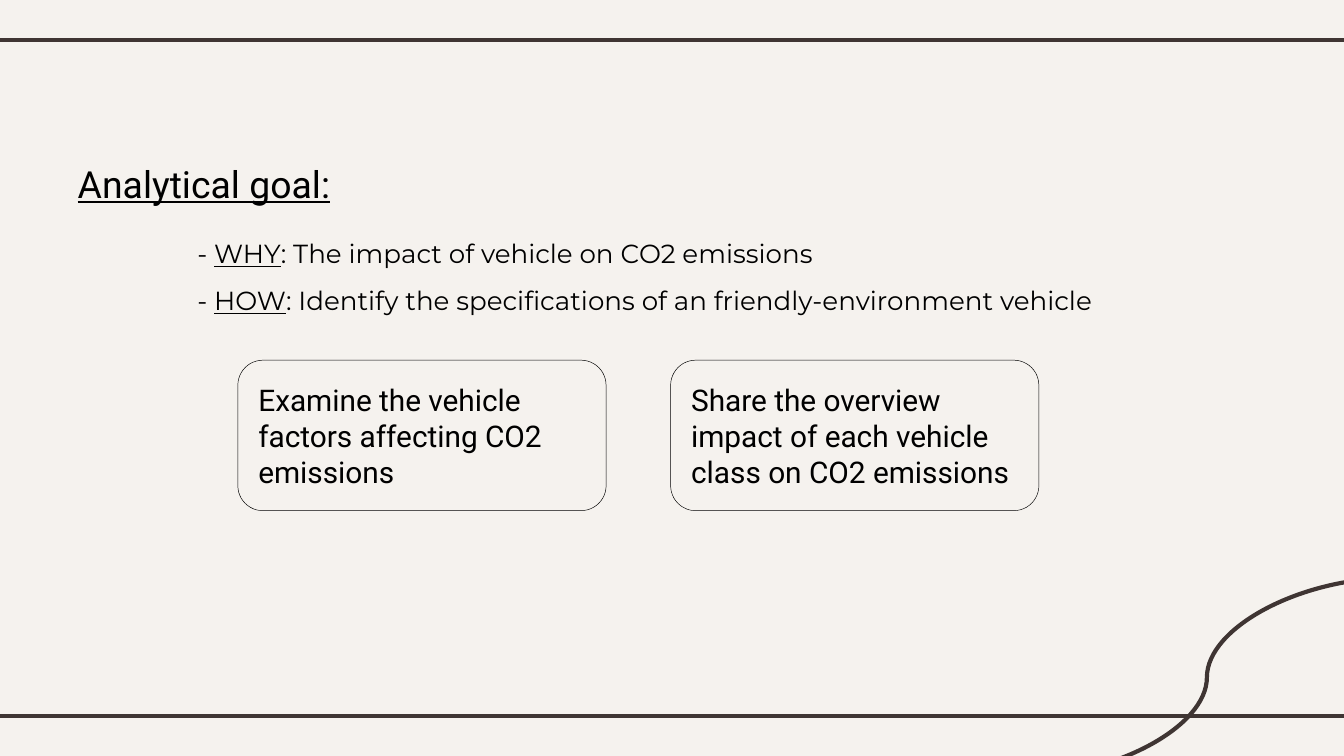
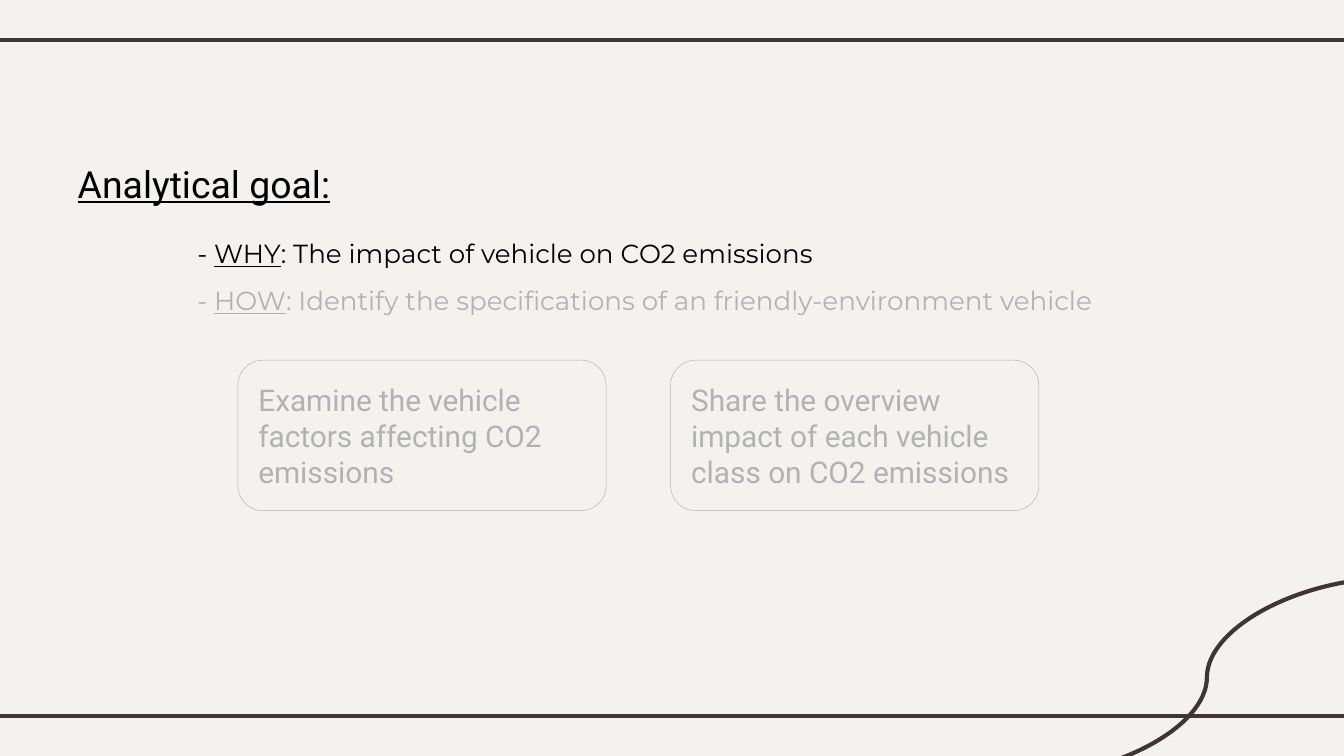
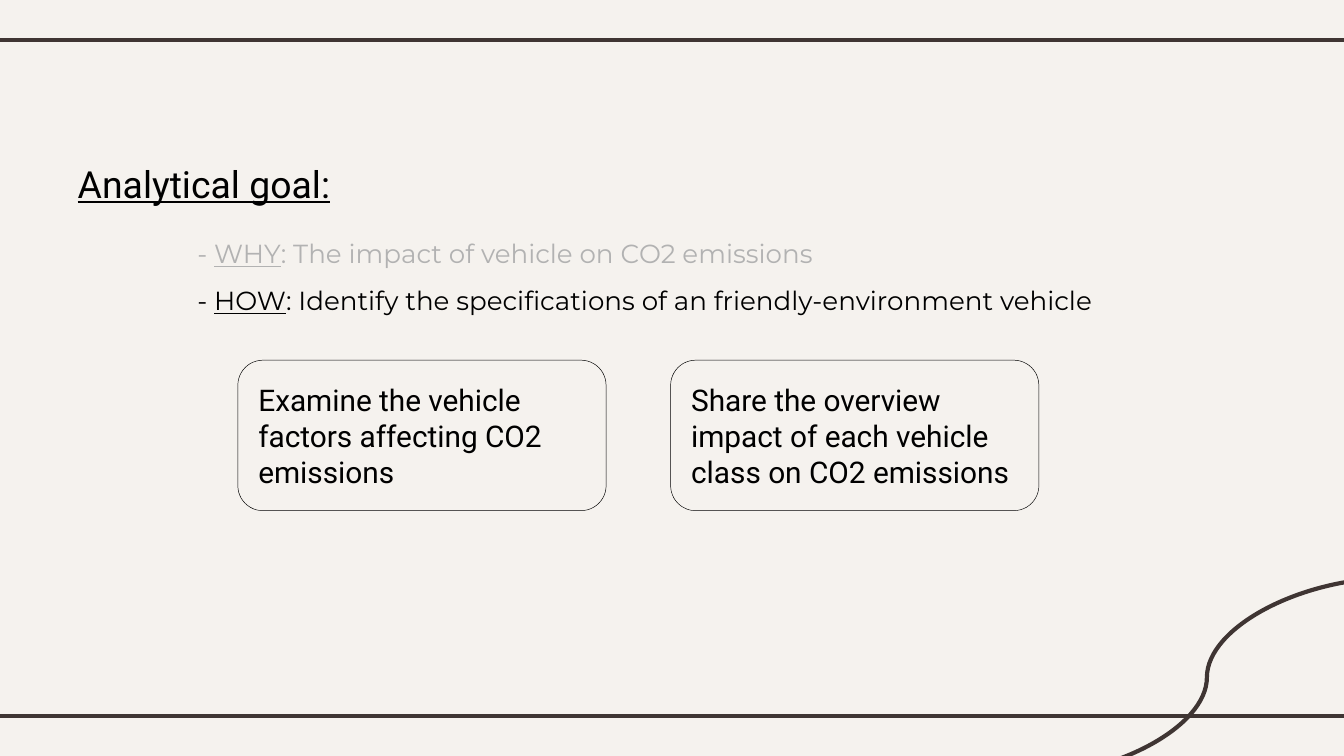
"""Build three slides that step through the analytical goal, dimming what is not in focus."""
from pptx import Presentation, util as u
from pptx.dml.color import RGBColor
from pptx.enum import shapes, text
from pptx.oxml.ns import qn
from lxml import etree

COLORS = {"paper": "F5F2EE", "rule": "3F3533", "focus": "000000", "dim": "B2B2B2"}
RGB = {role: RGBColor.from_string(value) for role, value in COLORS.items()}

deck = Presentation()
deck.slide_width = u.Inches(10)
deck.slide_height = deck.slide_width * 9 // 16
CELL = deck.slide_width / 100

RULES = [
    (shapes.MSO_CONNECTOR.STRAIGHT, -0.8, 3, 100.8, 3),
    (shapes.MSO_CONNECTOR.STRAIGHT, -0.8, 53.3, 100.8, 53.3),
    (shapes.MSO_CONNECTOR.CURVE, 103.7, 43, 75.9, 57.8),
]
QUESTIONS = [
    ("WHY", ": The impact of vehicle on CO2 emissions"),
    ("HOW", ": Identify the specifications of an friendly-environment vehicle"),
]
TASKS = [
    "Examine the vehicle factors affecting CO2 emissions",
    "Share the overview impact of each vehicle class on CO2 emissions",
]
CARD_LEFT, CARD_STEP = 17.7, 32.2
STEPS = [("focus", "focus"), ("focus", "dim"), ("dim", "focus")]


def grid(*cells):
    """Turn grid cells into slide lengths."""
    return [u.Emu(round(cell * CELL)) for cell in cells]


def add_run(paragraph, words, size, font, color, underline=False):
    """Add one styled run to a paragraph."""
    run = paragraph.add_run()
    run.text = words
    run.font.size, run.font.name = u.Pt(size), font
    run.font.color.rgb = RGB[color]
    run.font.underline = underline


background = deck.slide_master.background.fill
background.solid()
background.fore_color.rgb = RGB["paper"]

for why_color, how_color in STEPS:
    slide = deck.slides.add_slide(deck.slide_layouts[6])

    for kind, *ends in RULES:
        rule = slide.shapes.add_connector(kind, *grid(*ends))
        rule.line.color.rgb = RGB["rule"]
        rule.line.width = u.Pt(2.25)
        etree.SubElement(rule._element.spPr, qn("a:effectLst"))

    cards = []
    for column, task in enumerate(TASKS):
        card = slide.shapes.add_shape(
            shapes.MSO_SHAPE.ROUNDED_RECTANGLE,
            *grid(CARD_LEFT + column * CARD_STEP, 26.8, 27.4, 11.2))
        card.shadow.inherit = False
        card.fill.solid()
        card.fill.fore_color.rgb = RGB["paper"]
        card.line.color.rgb = RGB[how_color]
        card.line.width = u.Pt(0.25)
        card.text_frame.vertical_anchor = text.MSO_ANCHOR.MIDDLE
        add_run(card.text_frame.paragraphs[0], task, 16, "Roboto", how_color)
        cards.append(card)

    heading = slide.shapes.add_textbox(*grid(4.8, 11, 22.6, 5.4))
    add_run(heading.text_frame.paragraphs[0], "Analytical goal:", 20, "Roboto", "focus", True)

    goals = slide.shapes.add_textbox(*grid(13.7, 15.5, 69, 9.5))
    goal_lines = [goals.text_frame.paragraphs[0], goals.text_frame.add_paragraph()]
    for line, (question, answer), color in zip(goal_lines, QUESTIONS, (why_color, how_color)):
        line.line_spacing = 1.5
        add_run(line, "- ", 14, "Montserrat", color)
        add_run(line, question, 14, "Montserrat", color, True)
        add_run(line, answer, 14, "Montserrat", color)

    for block in (*cards, heading, goals):
        frame = block.text_frame
        frame.word_wrap = True
        frame.margin_left = frame.margin_right = frame.margin_top = frame.margin_bottom = grid(1)[0]
        for paragraph in frame.paragraphs:
            paragraph.alignment = text.PP_ALIGN.LEFT

deck.save("out.pptx")
